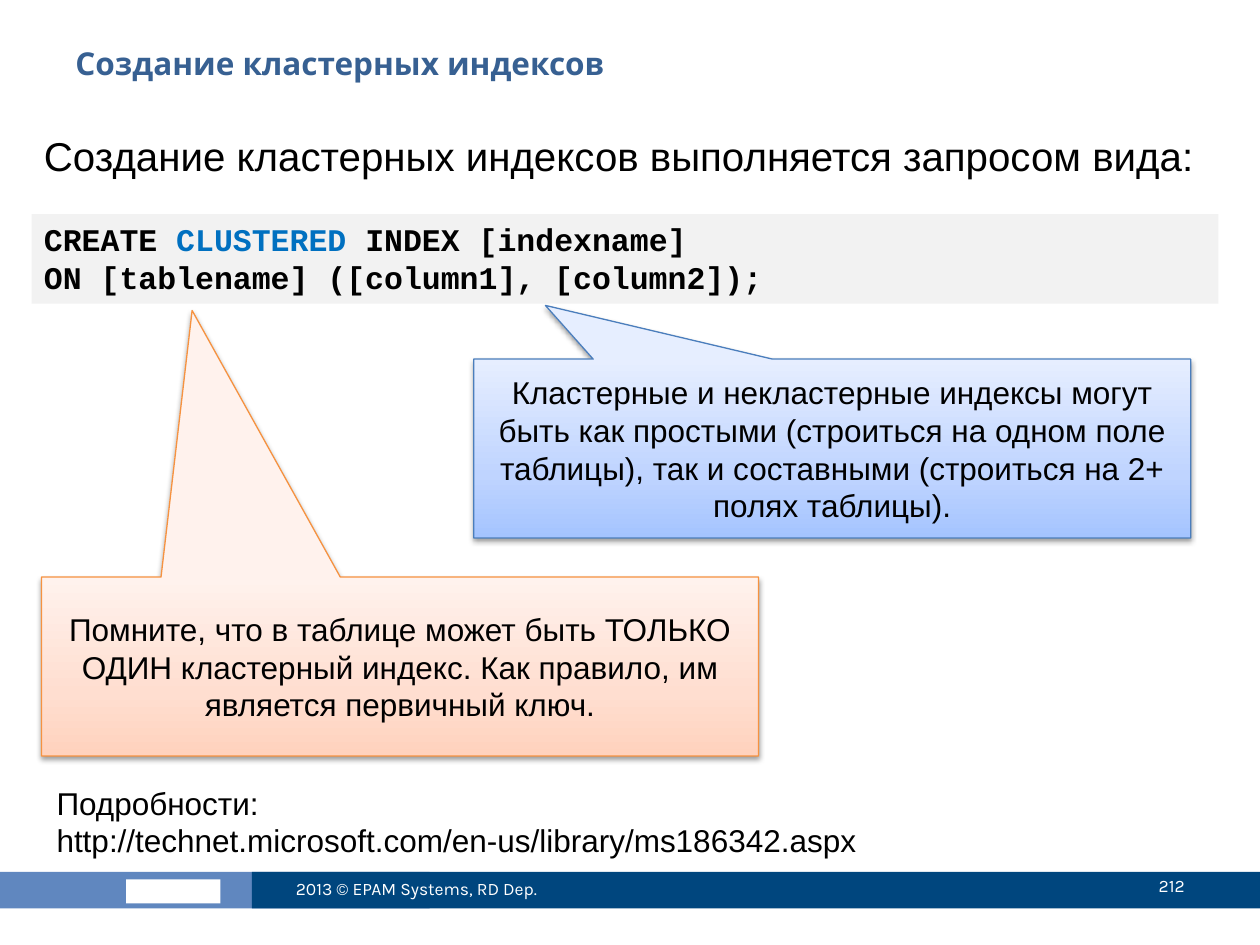
from lxml.etree import SubElement
from pptx import Presentation
from pptx.dml.color import RGBColor
from pptx.enum.shapes import MSO_SHAPE
from pptx.enum.text import MSO_ANCHOR, PP_ALIGN
from pptx.oxml.ns import qn
from pptx.util import Inches, Pt


def rgb(value):
    return RGBColor.from_string(value)


def write(shape, lines, size=18, font="Arial", color="000000", bold=False,
          align=PP_ALIGN.LEFT, anchor=MSO_ANCHOR.TOP):
    """Fill a shape with lines, each a list of texts or (text, color) pairs."""
    frame = shape.text_frame
    frame.word_wrap = True
    frame.vertical_anchor = anchor
    for number, line in enumerate(lines):
        paragraph = frame.add_paragraph() if number else frame.paragraphs[0]
        paragraph.alignment = align
        for part in line:
            text, part_color = part if isinstance(part, tuple) else (part, color)
            run = paragraph.add_run()
            run.text = text
            run.font.size = Pt(size)
            run.font.name = font
            run.font.bold = bold
            run.font.color.rgb = rgb(part_color)


prs = Presentation()
prs.slide_width, prs.slide_height = Inches(10), Inches(7.5)
shapes = prs.slides.add_slide(prs.slide_layouts[6]).shapes

# Footer bands with a plain mark, then the panels behind query and heading
panels = []
for left, top, width, height, color in [
    (-0.02, 6.92, 3.43, 0.29, "6087BF"),
    (1, 6.98, 0.75, 0.19, "FFFFFF"),
    (2, 6.92, 8, 0.29, "00467E"),
    (0.25, 0.99, 9.42, 0.67, "FFFFFF"),
    (0.25, 1.7, 9.42, 0.71, "F2F2F2"),
]:
    panel = shapes.add_shape(MSO_SHAPE.RECTANGLE, Inches(left), Inches(top),
                             Inches(width), Inches(height))
    panel.shadow.inherit = False
    panel.fill.solid()
    panel.fill.fore_color.rgb = rgb(color)
    panel.line.fill.background()
    panels.append(panel)
intro, query = panels[-2:]

write(intro, [["Создание кластерных индексов выполняется запросом вида:"]], size=23)
write(query, [
    ["CREATE ", ("CLUSTERED", "0070C0"), " INDEX [indexname]"],
    ["ON [tablename] ([column1], [column2]);"],
], font="Courier New", bold=True)

title = shapes.add_textbox(Inches(0.5), Inches(0.3), Inches(9), Inches(0.78))
write(title, [["Создание кластерных индексов"]], font="Karla", color="376092", bold=True)

copyright_line = shapes.add_textbox(Inches(2.25), Inches(6.85), Inches(2.67), Inches(0.4))
write(copyright_line, [["2013 © EPAM Systems, RD Dep."]], size=10, font="Karla",
      color="FFFFFF", anchor=MSO_ANCHOR.MIDDLE)

page_number = shapes.add_textbox(Inches(8.42), Inches(6.83), Inches(1.08), Inches(0.4))
write(page_number, [["212"]], size=10, font="Karla", color="FFFFFF",
      align=PP_ALIGN.RIGHT, anchor=MSO_ANCHOR.MIDDLE)

details = shapes.add_textbox(Inches(0.35), Inches(6.17), Inches(9.25), Inches(0.71))
write(details, [["Подробности:"],
                ["http://technet.microsoft.com/en-us/library/ms186342.aspx"]])

for left, top, pointer, gradient, outline, text in [
    (3.76, 2.85, (-0.4, -0.8), ("A4C4FF", "BFD4FF", "E6EEFF"), "4B7EBC",
     "Кластерные и некластерные индексы могут быть как простыми (строиться на одном "
     "поле таблицы), так и составными (строиться на 2+ полях таблицы)."),
    (0.33, 4.58, (-0.29, -1.99), ("FFD2BD", "FFDED0", "FFF2ED"), "F69240",
     "Помните, что в таблице может быть ТОЛЬКО ОДИН кластерный индекс. "
     "Как правило, им является первичный ключ."),
]:
    callout = shapes.add_shape(MSO_SHAPE.RECTANGULAR_CALLOUT, Inches(left), Inches(top),
                               Inches(5.69), Inches(1.42))
    callout.adjustments[0], callout.adjustments[1] = pointer
    callout.line.color.rgb = rgb(outline)
    callout.line.width = Pt(0.75)

    callout.fill.gradient()
    callout.fill.gradient_angle = 90
    properties = callout.element.spPr
    stops = properties.find(".//" + qn("a:gsLst"))
    for stop in list(stops):
        stops.remove(stop)
    for percent, color in zip((0, 35, 100), gradient):
        stop = SubElement(stops, qn("a:gs"), pos=str(percent * 1000))
        SubElement(stop, qn("a:srgbClr"), val=color)

    callout.shadow.inherit = False
    shadow = SubElement(properties.find(qn("a:effectLst")), qn("a:outerShdw"),
                        blurRad=str(Pt(3.1)), dist=str(Pt(1.6)),
                        dir="5400000", rotWithShape="0")
    shade = SubElement(shadow, qn("a:srgbClr"), val="000000")
    SubElement(shade, qn("a:alpha"), val="38000")

    write(callout, [[text]], align=PP_ALIGN.CENTER, anchor=MSO_ANCHOR.MIDDLE)

prs.save("out.pptx")
